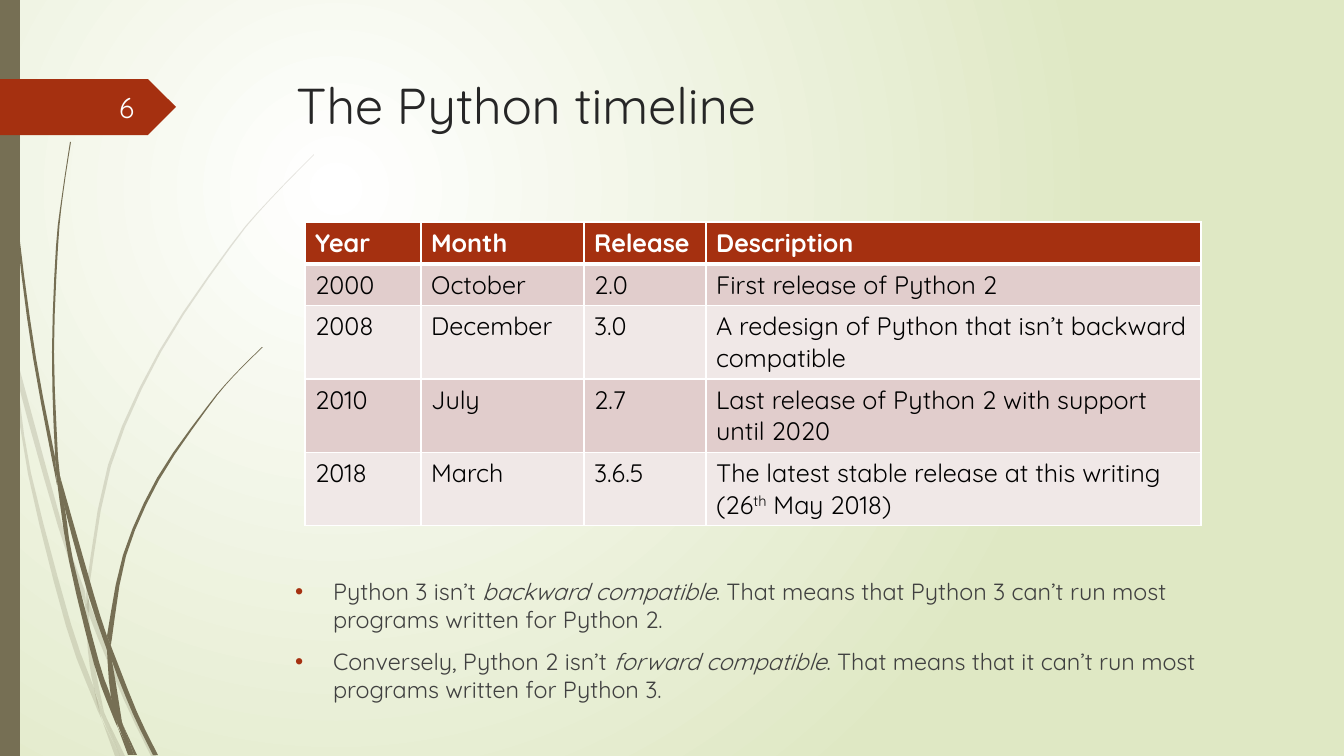
"""Build the slide on the Python timeline, with its release table and two notes."""
from lxml.etree import SubElement
from pptx import Presentation
from pptx.dml.color import RGBColor
from pptx.enum.shapes import MSO_SHAPE as Preset
from pptx.enum.text import MSO_ANCHOR as Anchor, MSO_AUTO_SIZE as AutoSize, PP_ALIGN as Align
from pptx.oxml.ns import qn
from pptx.util import Emu, Pt

FONT = "Quicksand"
WHITE = RGBColor(0xFF, 0xFF, 0xFF)
BLACK = RGBColor(0x00, 0x00, 0x00)
PALE_GREEN = RGBColor(0xDF, 0xE8, 0xC4)
OLIVE = RGBColor(0x76, 0x6F, 0x54)
RUST = RGBColor(0xA5, 0x30, 0x10)
ROSE = RGBColor(0xE1, 0xCD, 0xCC)
LIGHT_ROSE = RGBColor(0xF0, 0xE8, 0xE7)
TITLE_GREY = RGBColor(0x26, 0x26, 0x26)
BODY_GREY = RGBColor(0x40, 0x40, 0x40)
NEAR_WHITE = RGBColor(0xFE, 0xFF, 0xFF)
PX = 914400 / 100.8


def smooth(knots, steps=3):
    """Return points on a Catmull-Rom curve through the knots, in EMU."""
    ends = [knots[0], *knots, knots[-1]]
    curve = []
    for a, b, c, d in zip(ends, ends[1:], ends[2:], ends[3:]):
        for step in range(steps):
            t = step / steps
            curve.append(tuple(
                PX * (q + t * (r - p + t * (2 * p - 5 * q + 4 * r - s + t * (3 * q - p - 3 * r + s))) / 2)
                for p, q, r, s in zip(a, b, c, d)))
    return curve + [(knots[-1][0] * PX, knots[-1][1] * PX)]


def add_span(para, text, size, color, bold=False, italic=False):
    """Add one formatted run to a paragraph."""
    span = para.add_run()
    span.text = text
    span.font.name = FONT
    span.font.size = Pt(size)
    span.font.color.rgb = color
    span.font.bold = bold
    span.font.italic = italic
    return span


deck = Presentation()
deck.slide_width, deck.slide_height = Emu(round(1344 * PX)), Emu(round(756 * PX))
page = deck.slides.add_slide(deck.slide_layouts[1])

backdrop = page.background.fill
backdrop.gradient()
for stop, color in zip(backdrop.gradient_stops, (WHITE, PALE_GREEN)):
    stop.color.rgb = color
gradient = page.background._cSld.find(".//" + qn("a:gradFill"))
gradient.remove(gradient.find(qn("a:lin")))
circle = SubElement(gradient, qn("a:path"), {"path": "circle"})
SubElement(circle, qn("a:fillToRect"), {"l": "50000", "t": "50000", "r": "100000", "b": "100000"})

PALE_BLADES = [
    ([(0, 301), (10, 347), (11, 353)], [(9, 325), (0, 284)]),
    ([(14, 348), (17, 379), (58, 526), (85, 604)], [(85, 591), (62, 524), (14, 348)]),
    ([(89, 601), (89, 615), (124, 700), (151, 756)], [(156, 756), (128, 698), (93, 612), (89, 601)]),
    ([(106, 717), (120, 756)], [(125, 756), (106, 717)]),
    ([(11, 353), (28, 474), (66, 626), (93, 699), (102, 720)],
     [(100, 713), (94, 688), (71, 624), (31, 473), (17, 379), (11, 353)]),
    ([(85, 604), (88, 651), (94, 688), (106, 717)], [(104, 712), (92, 651), (89, 615), (85, 604)]),
    ([(314, 154), (270, 199), (230, 246), (159, 351), (108, 465), (86, 589)],
     [(89, 601), (89, 589), (111, 466), (161, 352), (231, 247), (270, 200), (314, 155)]),
    ([(102, 720), (115, 756)], [(120, 756), (102, 720)]),
    ([(86, 591), (85, 604)], [(89, 613), (89, 601), (86, 591)]),
    ([(94, 688), (100, 713), (120, 756)], [(106, 717), (97, 698), (94, 688)]),
]
DARK_BLADES = [
    ([(3, 0), (7, 111), (17, 235), (33, 358), (57, 485)],
     [(55, 457), (36, 358), (19, 234), (8, 110), (4, 0)]),
    ([(60, 476), (65, 509), (89, 597), (107, 650)], [(107, 636), (94, 595), (60, 476)]),
    ([(111, 646), (112, 661), (133, 714), (153, 755)], [(158, 755), (137, 712), (111, 646)]),
    ([(57, 481), (69, 561), (94, 664), (112, 714), (118, 728)],
     [(117, 723), (111, 697), (99, 662), (73, 560), (65, 509), (57, 481)]),
    ([(70, 142), (62, 195), (56, 247), (52, 352), (55, 453), (60, 476)],
     [(58, 457), (54, 352), (58, 247), (63, 195), (71, 142)]),
    ([(123, 725), (134, 755)], [(137, 755), (123, 725)]),
    ([(55, 453), (57, 481), (65, 509)], [(60, 476), (55, 453)]),
    ([(262, 347), (233, 376), (206, 408), (157, 478), (123, 555), (107, 636)],
     [(111, 646), (112, 638), (126, 556), (159, 480), (207, 409), (233, 377), (263, 347)]),
    ([(118, 728), (128, 755)], [(132, 755), (118, 728)]),
    ([(107, 650), (111, 697), (123, 725)], [(122, 722), (112, 661), (107, 650)]),
    ([(107, 636), (107, 650), (112, 661)], [(111, 646), (107, 636)]),
    ([(111, 697), (117, 723), (131, 755)], [(134, 755), (123, 725), (111, 697)]),
]
accents = []
for opacity, blades in ((20, PALE_BLADES), (100, DARK_BLADES)):
    for left_edge, right_edge in blades:
        outline = smooth(left_edge) + smooth(right_edge)
        builder = page.shapes.build_freeform(*outline[0], scale=1.0)
        builder.add_line_segments(outline[1:], close=True)
        accents.append((builder.convert_to_shape(), OLIVE, opacity))
for preset, color, frame in (
        (Preset.RECTANGLE, OLIVE, (0, 0, 20, 756)),
        (Preset.PENTAGON, RUST, (0, 79, 176, 56))):
    accents.append((page.shapes.add_shape(preset, *(Emu(round(n * PX)) for n in frame)), color, 100))
for accent, color, opacity in accents:
    accent.shadow.inherit = False
    accent.fill.solid()
    accent.fill.fore_color.rgb = color
    accent.line.fill.background()
    if opacity < 100:
        tint = accent._element.spPr.find(qn("a:solidFill"))[0]
        SubElement(tint, qn("a:alpha"), {"val": str(opacity * 1000)})

title, body = page.shapes.title, page.placeholders[1]
number = page.shapes.add_textbox(0, 0, 0, 0)
for box, frame, anchor in (
        (title, (286, 69, 983, 141), Anchor.TOP),
        (body, (285, 572, 983, 150), Anchor.TOP),
        (number, (58, 87, 86, 40), Anchor.MIDDLE)):
    box.left, box.top, box.width, box.height = (Emu(round(n * PX)) for n in frame)
    box.text_frame.word_wrap = True
    box.text_frame.auto_size = AutoSize.NONE
    box.text_frame.vertical_anchor = anchor

heading = title.text_frame.paragraphs[0]
heading.alignment = Align.LEFT
add_span(heading, "The Python timeline", 36, TITLE_GREY)
folio = number.text_frame.paragraphs[0]
folio.alignment = Align.RIGHT
add_span(folio, "6", 20, NEAR_WHITE)

NOTES = [
    ("Python 3 isn’t ", "backward compatible",
     ". That means that Python 3 can’t run most programs written for Python 2."),
    ("Conversely, Python 2 isn’t ", "forward compatible",
     ". That means that it can’t run most programs written for Python 3."),
]
for index, (opening, term, ending) in enumerate(NOTES):
    para = body.text_frame.add_paragraph() if index else body.text_frame.paragraphs[0]
    props = para._p.get_or_add_pPr()
    props.set("marL", str(round(38 * PX)))
    props.set("indent", str(round(-38 * PX)))
    bullet_color = SubElement(props, qn("a:buClr"))
    SubElement(bullet_color, qn("a:srgbClr"), {"val": str(RUST)})
    SubElement(props, qn("a:buFont"), {"typeface": "Arial"})
    SubElement(props, qn("a:buChar"), {"char": "•"})
    para.alignment = Align.LEFT
    para.line_spacing = 1.0
    para.space_before = Pt(10 if index else 0)
    for text, italic in ((opening, False), (term, True), (ending, False)):
        add_span(para, text, 16.7, BODY_GREY, italic=italic)

RELEASES = [
    ("Year", "Month", "Release", "Description"),
    ("2000", "October", "2.0", "First release of Python 2"),
    ("2008", "December", "3.0", "A redesign of Python that isn’t backward compatible"),
    ("2010", "July", "2.7", "Last release of Python 2 with support until 2020"),
    ("2018", "March", "3.6.5", "The latest stable release at this writing (26"),
]
COLUMN_WIDTHS = (116, 163, 122, 495)
ROW_HEIGHTS = (42, 41, 73, 73, 73)
frame = (305, 222, sum(COLUMN_WIDTHS), sum(ROW_HEIGHTS))
table = page.shapes.add_table(
    len(RELEASES), len(COLUMN_WIDTHS), *(Emu(round(n * PX)) for n in frame)).table
table.horz_banding = False
for column, width in zip(table.columns, COLUMN_WIDTHS):
    column.width = Emu(round(width * PX))
for r, (row, height) in enumerate(zip(table.rows, ROW_HEIGHTS)):
    row.height = Emu(round(height * PX))
    header = r == 0
    for cell, text in zip(row.cells, RELEASES[r]):
        props = cell._tc.get_or_add_tcPr()
        for side in ("lnL", "lnR", "lnT", "lnB"):
            thick = (r, side) in ((0, "lnB"), (1, "lnT"))
            border = SubElement(props, qn("a:" + side), {"w": str(Pt(3 if thick else 1))})
            paint = SubElement(border, qn("a:solidFill"))
            SubElement(paint, qn("a:srgbClr"), {"val": str(WHITE)})
        cell.fill.solid()
        cell.fill.fore_color.rgb = RUST if header else ROSE if r % 2 else LIGHT_ROSE
        add_span(cell.text_frame.paragraphs[0], text, 18, WHITE if header else BLACK, bold=header)

date = table.cell(4, 3).text_frame.paragraphs[0]
ordinal = add_span(date, "th", 18, BLACK)
ordinal.font._element.set("baseline", "30000")
add_span(date, " May 2018)", 18, BLACK)

deck.save("out.pptx")
